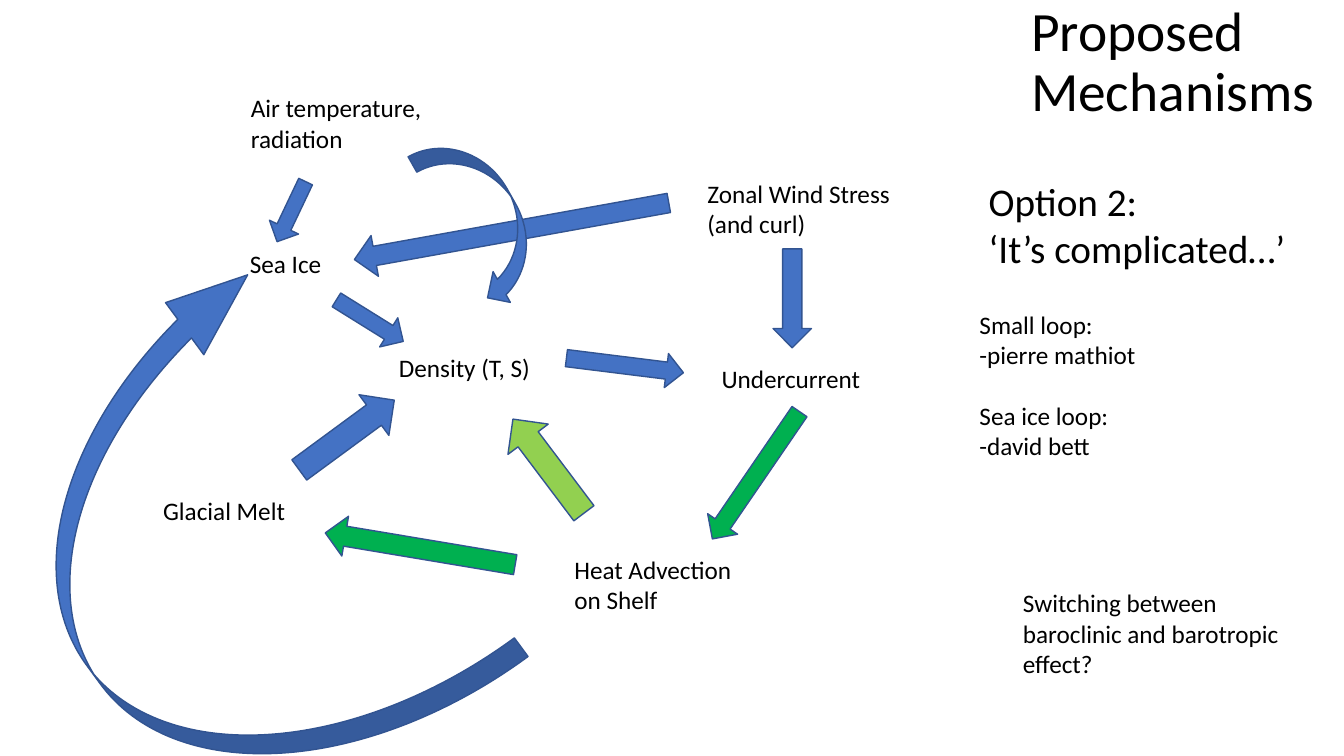
from pptx import Presentation
from pptx import util as u
from pptx.dml.color import RGBColor
from pptx.enum import shapes, text

THEME = {
    "font": "Calibri", "ink": "000000", "outline": "325491",
    "blue": "4472C4", "green": "00B050", "lime": "92D050",
    "title": 39.6, "heading": 28, "body": 18,
    "title_spacing": 0.9, "group_gap": 21.6, "line": 1,
}

TITLE = ("Proposed Mechanisms", (729.4, 17.3, 345.6, 56.2))

# Lines, size, (left, top, width, height); each group of lines is set apart
LABELS = [
    ([["Zonal Wind Stress (and curl)"]], "body", (498.2, 123.8, 149, 51)),
    ([["Undercurrent"]], "body", (508.3, 255.6, 149, 29)),
    ([["Heat Advection on Shelf"]], "body", (403.2, 392.4, 149, 51)),
    ([["Glacial Melt"]], "body", (109.4, 349.9, 111.6, 29)),
    ([["Density (T, S)"]], "body", (277.9, 248.4, 149, 29)),
    ([["Air temperature, radiation"]], "body", (172.1, 62.6, 149, 51)),
    ([["Sea Ice"]], "body", (171.4, 173.5, 111.6, 29)),
    ([["Option 2:", "‘It’s complicated…’"]], "heading",
     (699.1, 123.1, 229.7, 75)),
    ([["Switching between baroclinic and barotropic effect?"]], "body",
     (723.6, 416.2, 206, 72.7)),
    ([["Small loop:", "-pierre mathiot"], ["Sea ice loop:", "-david bett"]],
     "body", (692.6, 217.4, 249.8, 181.4)),
]

STRAIGHT = shapes.MSO_SHAPE.DOWN_ARROW
CURVED = shapes.MSO_SHAPE.CURVED_DOWN_ARROW

# Kind, (centre x, centre y), (width, height), rotation, colour, adjustments
ARROWS = [
    (STRAIGHT, (565.9, 213.1), (27.4, 70.6), 0, "blue", ()),         # wind to undercurrent
    (STRAIGHT, (540, 339.5), (25.9, 110.2), 34.4, "green", ()),      # undercurrent to heat
    (STRAIGHT, (300.2, 392), (28.8, 137.5), 99.5, "green", ()),      # heat to melt
    (STRAIGHT, (247.7, 310.7), (36, 84.2), 233.7, "blue", ()),       # melt to density
    (STRAIGHT, (446.4, 261), (24.5, 84.2), 277.1, "blue", ()),       # density to undercurrent
    (STRAIGHT, (391.7, 333), (36, 84.2), 143, "lime", ()),           # heat to density
    (STRAIGHT, (208.1, 151.2), (23, 47.5), 25.4, "blue", (0.47,)),   # air to sea ice
    (STRAIGHT, (365.4, 165.2), (29.5, 228.2), 79.8, "blue", (0.47,)),  # wind to sea ice
    (STRAIGHT, (264.2, 229), (24.5, 56.2), 301.9, "blue", (0.47,)),  # sea ice to density
    (CURVED, (166.3, 399.6), (361.4, 257.8), 233.7, "blue",
     (0.064, 0.179, 0.229)),                                         # heat to sea ice
    (CURVED, (344.9, 155.5), (128.2, 50.4), 60.6, "blue", ()),       # air to density
]


def color(name):
    return RGBColor.from_string(THEME[name])


def add_text(s, groups, size, box):
    """Add a wrapping text box with one paragraph per line."""
    sp = s.shapes.add_textbox(*(u.Pt(v) for v in box))
    tf = sp.text_frame
    tf.word_wrap = True
    p = None
    for group in groups:
        for i, line in enumerate(group):
            first = p is None
            p = tf.paragraphs[0] if first else tf.add_paragraph()
            if i == 0 and not first:
                p.space_before = u.Pt(THEME["group_gap"])
            r = p.add_run()
            r.text = line
            r.font.name = THEME["font"]
            r.font.size = u.Pt(THEME[size])
            r.font.color.rgb = color("ink")
    return tf


def add_arrow(s, kind, center, size, rotation, fill, adjustments):
    corner = [c - d / 2 for c, d in zip(center, size)]
    sp = s.shapes.add_shape(kind, *(u.Pt(v) for v in (*corner, *size)))
    sp.rotation = rotation
    for i, value in enumerate(adjustments):
        sp.adjustments[i] = value
    sp.shadow.inherit = False
    sp.fill.solid()
    sp.fill.fore_color.rgb = color(fill)
    sp.line.color.rgb = color("outline")
    sp.line.width = u.Pt(THEME["line"])


def main():
    prs = Presentation()
    prs.slide_width, prs.slide_height = u.Pt(960), u.Pt(540)
    s = prs.slides.add_slide(prs.slide_layouts[6])

    title, box = TITLE
    tf = add_text(s, [[title]], "title", box)
    tf.vertical_anchor = text.MSO_ANCHOR.MIDDLE
    tf.paragraphs[0].line_spacing = THEME["title_spacing"]

    for label in LABELS:
        tf = add_text(s, *label)
        tf.auto_size = text.MSO_AUTO_SIZE.SHAPE_TO_FIT_TEXT
    for arrow in ARROWS:
        add_arrow(s, *arrow)
    prs.save("out.pptx")


if __name__ == "__main__":
    main()
